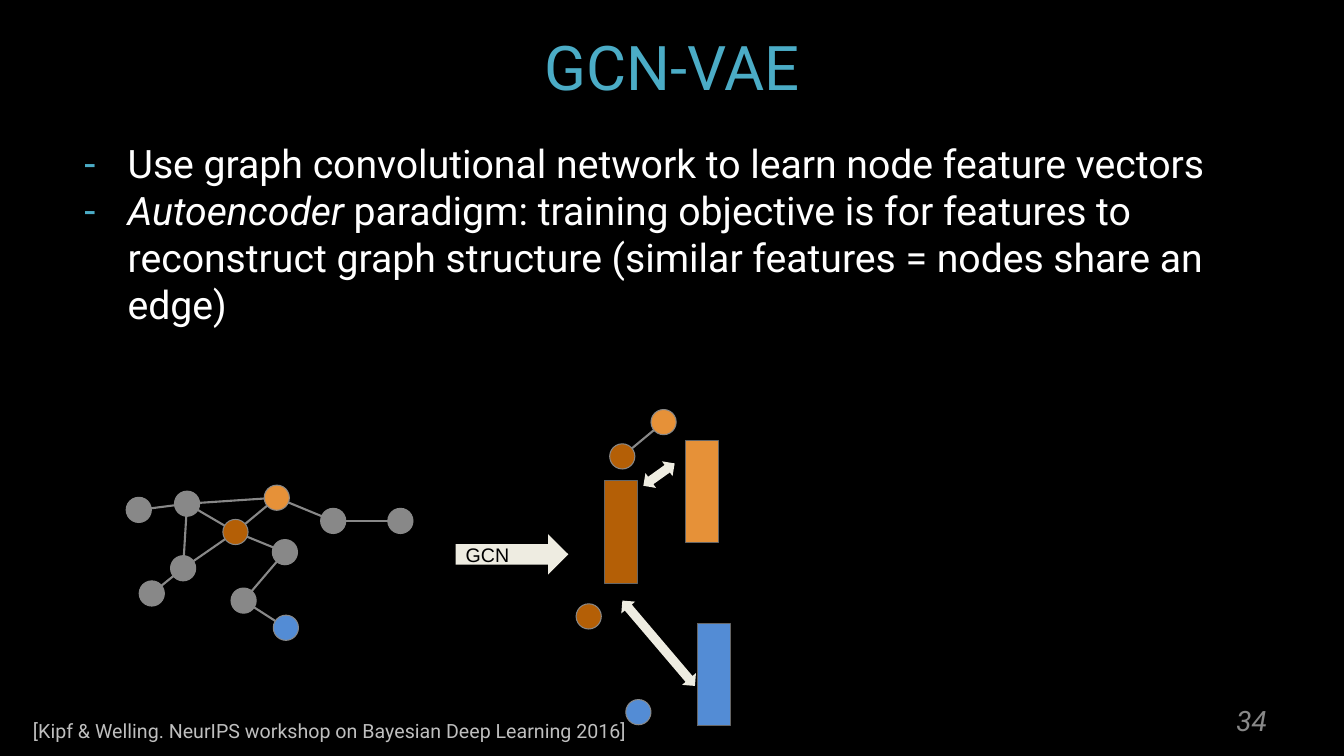
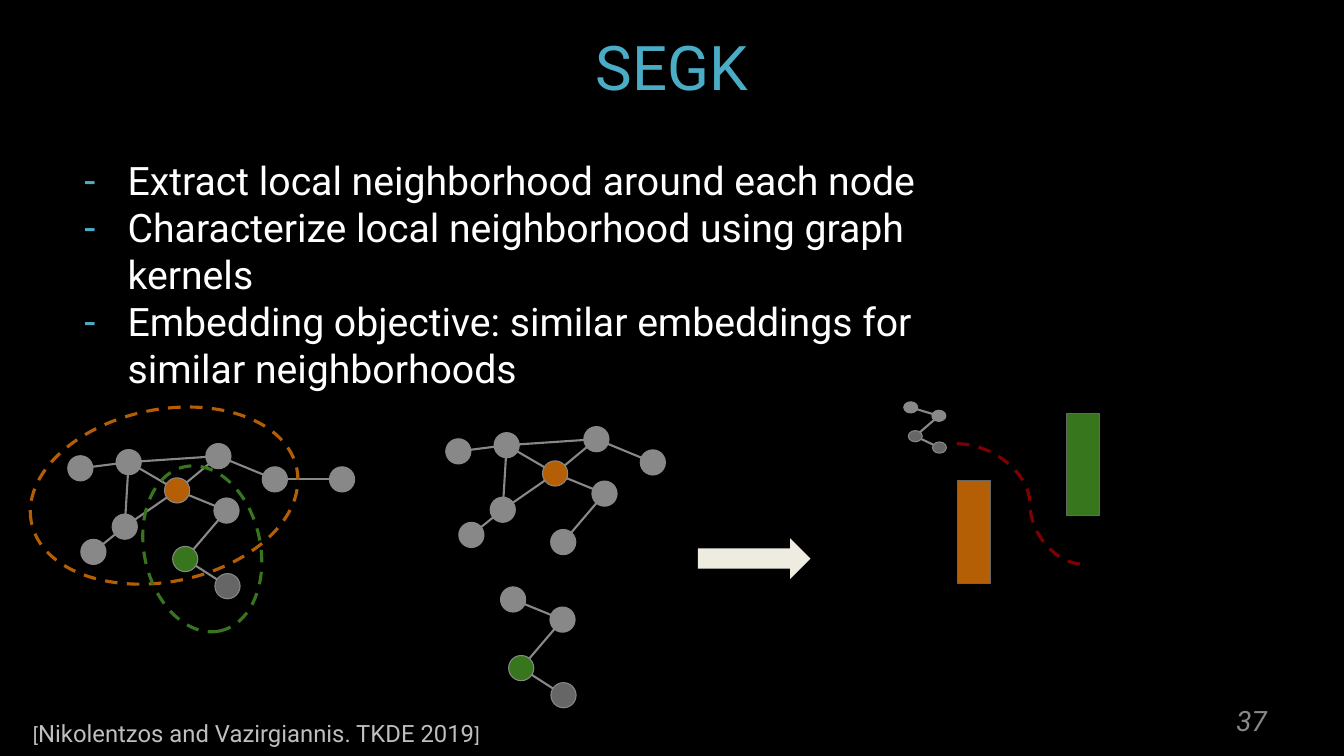
from lxml import etree
from pptx import Presentation
from pptx.dml.color import RGBColor
from pptx.enum import dml, shapes, text
from pptx.oxml.ns import qn
from pptx.util import Pt

BLACK = RGBColor(0x00, 0x00, 0x00)
WHITE = RGBColor(0xFF, 0xFF, 0xFF)
TEAL = RGBColor(0x4B, 0xAC, 0xC6)
GRAY = RGBColor(0x88, 0x88, 0x88)
DARK_GRAY = RGBColor(0x66, 0x66, 0x66)
LIGHT_GRAY = RGBColor(0xBF, 0xBF, 0xBF)
CREAM = RGBColor(0xEE, 0xEC, 0xE1)
BROWN = RGBColor(0xB4, 0x5F, 0x06)
ORANGE = RGBColor(0xE6, 0x91, 0x38)
BLUE = RGBColor(0x53, 0x8C, 0xD5)
GREEN = RGBColor(0x38, 0x76, 0x1D)
MAROON = RGBColor(0x80, 0x00, 0x00)

SHAPE = shapes.MSO_SHAPE
LINK = shapes.MSO_CONNECTOR
ALIGN = text.PP_ALIGN
ANCHOR = text.MSO_ANCHOR

NODES = {
    "a": (0, 0), "b": (29.5, -24.5), "c": (35.3, 14.4), "d": (-34.6, -20.2),
    "e": (69.8, -7.9), "f": (5.8, 49), "g": (-69.1, -15.8), "h": (-37.4, 25.9),
    "i": (-59.8, 43.9), "j": (117.8, -7.9), "k": (36, 68.4),
}
EDGES = "ab ad ah ac hd db eb dg cf hi je kf".split()


def add_run(p, content, size=14, color=WHITE, font="Roboto", italic=False):
    r = p.add_run()
    r.text = content
    r.font.name = font
    r.font.size = Pt(size)
    r.font.italic = italic
    r.font.color.rgb = color


class Deck:
    def __init__(self):
        self.prs = Presentation()
        self.prs.slide_width, self.prs.slide_height = Pt(960), Pt(540)
        fill = self.prs.slide_master.background.fill
        fill.solid()
        fill.fore_color.rgb = BLACK

    def place(self, sp, x, y, w, h):
        sp.left, sp.top, sp.width, sp.height = Pt(x), Pt(y), Pt(w), Pt(h)

    def frame(self, sp, anchor=ANCHOR.TOP, pad=3.6):
        tf = sp.text_frame
        tf.word_wrap = True
        tf.auto_size = text.MSO_AUTO_SIZE.NONE
        tf.vertical_anchor = anchor
        tf.margin_left = tf.margin_right = Pt(7.2)
        tf.margin_top = tf.margin_bottom = Pt(pad)
        return tf

    def slide(self, title, number, source):
        self.s = self.prs.slides.add_slide(self.prs.slide_layouts[1])
        sp = self.s.shapes.title
        self.place(sp, 48, 2, 864, 90)
        p = self.frame(sp, ANCHOR.MIDDLE).paragraphs[0]
        p.alignment = ALIGN.CENTER
        add_run(p, title, size=44, color=TEAL)
        self.text(718.5, 500.5, 193.5, 28.5, [(str(number), 20)], GRAY,
                  ANCHOR.MIDDLE, 3.6, ALIGN.RIGHT, italic=True)
        self.text(16.5, 506, 816.5, 32, source, LIGHT_GRAY)

    def text(self, x, y, w, h, runs, color, anchor=ANCHOR.TOP, pad=7.2,
             align=ALIGN.LEFT, italic=False):
        sp = self.s.shapes.add_textbox(Pt(x), Pt(y), Pt(w), Pt(h))
        p = self.frame(sp, anchor, pad).paragraphs[0]
        p.alignment = align
        for content, size in runs:
            add_run(p, content, size=size, color=color, italic=italic)

    def bullets(self, y, w, h, items):
        sp = self.s.placeholders[1]
        self.place(sp, 48, y, w, h)
        tf = self.frame(sp)
        for i, runs in enumerate(items):
            p = tf.add_paragraph() if i else tf.paragraphs[0]
            pPr = p._p.get_or_add_pPr()
            pPr.set("marL", str(Pt(36)))
            pPr.set("indent", str(Pt(-31.7)))
            clr = etree.SubElement(pPr, qn("a:buClr"))
            etree.SubElement(clr, qn("a:srgbClr"), val=str(TEAL))
            etree.SubElement(pPr, qn("a:buChar"), char="-")
            p.space_before = Pt(0)
            for content, italic in runs:
                add_run(p, content, size=28, italic=italic)

    def shape(self, kind, x, y, w, h, fill=None, line=None, width=0.75,
              dashed=False, rotation=0):
        sp = self.s.shapes.add_shape(kind, Pt(x), Pt(y), Pt(w), Pt(h))
        sp.shadow.inherit = False
        sp.rotation = rotation
        if fill is None:
            sp.fill.background()
        else:
            sp.fill.solid()
            sp.fill.fore_color.rgb = fill
        if line is None:
            sp.line.fill.background()
        else:
            self.stroke(sp, line, width, dashed)
        return sp

    def stroke(self, sp, color, width, dashed=False):
        sp.line.color.rgb = color
        sp.line.width = Pt(width)
        if dashed:
            sp.line.dash_style = dml.MSO_LINE.DASH

    def line(self, x1, y1, x2, y2, color=GRAY, width=1.5, dashed=False,
             kind=LINK.STRAIGHT, bend=None):
        c = self.s.shapes.add_connector(kind, Pt(x1), Pt(y1), Pt(x2), Pt(y2))
        self.stroke(c, color, width, dashed)
        spPr = c._element.spPr
        etree.SubElement(spPr, qn("a:effectLst"))
        if bend is not None:
            geom = spPr.find(qn("a:prstGeom"))
            av = geom.find(qn("a:avLst"))
            if av is None:
                av = etree.SubElement(geom, qn("a:avLst"))
            etree.SubElement(av, qn("a:gd"), name="adj1",
                             fmla=f"val {round(bend * 100000)}")

    def graph(self, x, y, names, colors=None, scale=(1, 1), size=(18, 18)):
        colors = colors or {}
        w, h = size
        spots = {n: (x + NODES[n][0] * scale[0], y + NODES[n][1] * scale[1])
                 for n in names}
        for start, end in EDGES:
            if start in spots and end in spots:
                self.line(*spots[start], *spots[end])
        for n, (cx, cy) in spots.items():
            self.shape(SHAPE.OVAL, cx - w / 2, cy - h / 2, w, h,
                       colors.get(n, GRAY), GRAY)

    def vector(self, x, y, color):
        self.shape(SHAPE.RECTANGLE, x, y, 23.5, 73, color, DARK_GRAY)

    def arrow(self, x, y, label=None):
        sp = self.shape(SHAPE.RIGHT_ARROW, x, y, 80.5, 29, CREAM)
        if label:
            p = self.frame(sp, ANCHOR.MIDDLE, 7.2).paragraphs[0]
            p.alignment = ALIGN.LEFT
            add_run(p, label, color=BLACK, font="Arial")

    def double_arrow(self, x, y, length, rotation):
        self.shape(SHAPE.LEFT_RIGHT_ARROW, x, y, length, 13, CREAM,
                   rotation=rotation)

    def ring(self, x, y, w, h, color, rotation):
        self.shape(SHAPE.OVAL, x, y, w, h, None, color, 2.25, True, rotation)


def gcn_vae(deck):
    deck.slide("GCN-VAE", 34, [
        ("[Kipf & Welling. NeurIPS workshop on Bayesian Deep Learning 2016]", 14)])
    deck.bullets(96, 882.5, 180.5, [
        [("Use graph convolutional network to learn node feature vectors", False)],
        [("Autoencoder", True),
         (" paradigm: training objective is for features to reconstruct graph "
          "structure (similar features = nodes share an edge)", False)],
    ])
    colors = {"a": BROWN, "b": ORANGE, "k": BLUE}
    deck.graph(168.2, 380, NODES, colors)
    deck.arrow(325.5, 381.5, "GCN")
    for x, y, color in ((432, 343.5, BROWN), (489.5, 314.5, ORANGE),
                        (498, 445.5, BLUE)):
        deck.vector(x, y, color)
    deck.graph(444.5, 326, "ab", colors)
    deck.graph(420.5, 440.3, "a", colors)
    deck.graph(456, 508.7, "a", {"a": BLUE})
    deck.double_arrow(457, 332.5, 27.5, -35.5)
    deck.double_arrow(430.5, 453, 80, 49.6)


def segk(deck):
    deck.slide("SEGK", 37, [
        ("[", 14), ("Nikolentzos and Vazirgiannis. TKDE 2019", 17), ("]", 14)])
    deck.bullets(108, 678, 173, [[(item, False)] for item in (
        "Extract local neighborhood around each node",
        "Characterize local neighborhood using graph kernels",
        "Embedding objective: similar embeddings for similar neighborhoods",
    )])
    ends = {"f": GREEN, "k": DARK_GRAY}
    deck.graph(126.5, 350.3, NODES, {"a": BROWN, **ends})
    deck.ring(20.5, 292.5, 193.5, 123, BROWN, -11.5)
    deck.graph(396.5, 338.2, "abcdefghi", {"a": BROWN})
    deck.ring(84.5, 350.5, 120, 83, GREEN, 257.7)
    deck.graph(366.5, 428.2, "acfk", ends)
    deck.arrow(498.5, 384.5)
    deck.line(683.5, 317, 773.5, 403, MAROON, 2.25, True, LINK.CURVE, 0.58)
    deck.vector(684, 343.5, BROWN)
    deck.vector(762, 295.5, GREEN)
    deck.graph(650.5, 291, "acfk", {"f": DARK_GRAY, "k": DARK_GRAY},
               scale=(0.57, 0.42), size=(10, 8))


def main():
    deck = Deck()
    gcn_vae(deck)
    segk(deck)
    deck.prs.save("out.pptx")


if __name__ == "__main__":
    main()
